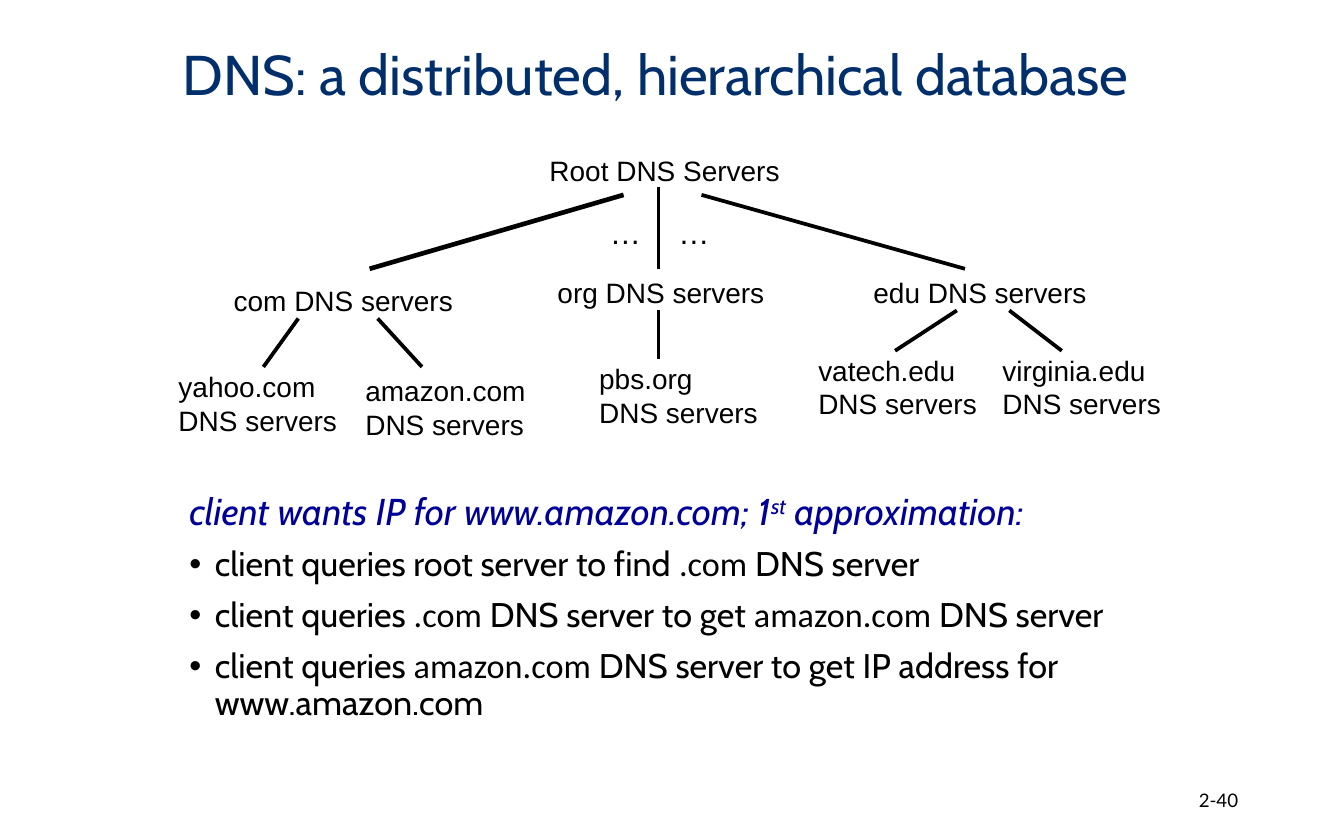
import pptx
import pptx.dml.color
import pptx.enum.text
import pptx.oxml.ns
import pptx.util
import lxml.etree

Inches = pptx.util.Inches
Pt = pptx.util.Pt
qn = pptx.oxml.ns.qn
ANCHOR = pptx.enum.text.MSO_ANCHOR
ALIGN = pptx.enum.text.PP_ALIGN
FIT = pptx.enum.text.MSO_AUTO_SIZE

COLORS = {"ink": "000000", "title": "002F6C", "lead": "000099"}


class Deck:
    """Holds the style and the current slide; each method adds one kind of element."""

    def __init__(self, show):
        self.slide = show.slides.add_slide(show.slide_layouts[6])

    def color(self, name):
        return pptx.dml.color.RGBColor.from_string(COLORS[name])

    def style(self, par, face, size, color="ink"):
        par.font.name = face
        par.font.size = Pt(size)
        par.font.color.rgb = self.color(color)

    def frame(self, left, top, width, height, anchor=ANCHOR.TOP):
        box = self.slide.shapes.add_textbox(
            Inches(left), Inches(top), Inches(width), Inches(height))
        box.text_frame.word_wrap = True
        box.text_frame.vertical_anchor = anchor
        return box.text_frame

    def label(self, left, top, width, lines, size=15):
        frame = self.frame(left, top, width, 0.09 + 0.26 * len(lines))
        frame.word_wrap = False
        frame.auto_size = FIT.SHAPE_TO_FIT_TEXT
        for i, line in enumerate(lines):
            par = frame.add_paragraph() if i else frame.paragraphs[0]
            par.text = line
            self.style(par, "Arial", size)

    def line(self, start, end, width=2):
        link = self.slide.shapes.add_connector(
            pptx.enum.shapes.MSO_CONNECTOR.STRAIGHT,
            *map(Inches, start + end))
        link.line.color.rgb = self.color("ink")
        link.line.width = Pt(width)
        lxml.etree.SubElement(link._element.spPr, qn("a:effectLst"))

    def title(self, text):
        frame = self.frame(1.26, 0.15, 7.31, 0.85, ANCHOR.MIDDLE)
        par = frame.paragraphs[0]
        par.text = text
        par.line_spacing = 0.9
        self.style(par, "Cabin", 30, "title")

    def number(self, text):
        par = self.frame(7.06, 5.79, 2.25, 0.33, ANCHOR.MIDDLE).paragraphs[0]
        par.text = text
        par.alignment = ALIGN.RIGHT
        self.style(par, "Lato", 10)

    def runs(self, par, text):
        """Add runs split at bars; return those between bars."""
        made = []
        for part in text.split("|"):
            run = par.add_run()
            run.text = part
            made.append(run)
        return made[1::2]

    def body(self, lead, items):
        frame = self.frame(1.31, 3.62, 7.45, 1.94)
        par = frame.paragraphs[0]
        par.line_spacing = 0.9
        self.style(par, "Cabin", 20, "lead")
        par.font.italic = True
        for run in self.runs(par, lead):
            run.font._element.set("baseline", "30000")
        for item in items:
            par = frame.add_paragraph()
            par.line_spacing = 0.9
            par.space_before = Pt(7.5)
            props = par._p.get_or_add_pPr()
            props.set("marL", str(Inches(0.19)))
            props.set("indent", str(-Inches(0.19)))
            lxml.etree.SubElement(props, qn("a:buFont")).set("typeface", "Arial")
            lxml.etree.SubElement(props, qn("a:buChar")).set("char", "•")
            self.style(par, "Cabin", 18.3)
            for run in self.runs(par, item):
                run.font.name = "Calibri"


def main():
    show = pptx.Presentation()
    show.slide_width = Inches(10)
    show.slide_height = Inches(6.25)
    deck = Deck(show)

    deck.title("DNS: a distributed, hierarchical database")

    deck.label(3.99, 1.09, 1.93, ["Root DNS Servers"])
    for zone, left, top, width in [
            ("com", 1.64, 2.06, 1.85), ("org", 4.05, 2, 1.76), ("edu", 6.4, 2, 1.81)]:
        deck.label(left, top, width, [zone + " DNS servers"])
    for host, left, top in [
            ("yahoo.com", 1.23, 2.7), ("amazon.com", 2.62, 2.73),
            ("pbs.org", 4.36, 2.64),
            ("vatech.edu", 5.99, 2.58), ("virginia.edu", 7.36, 2.58)]:
        deck.label(left, top, 1.4, [host, "DNS servers"])
    for left in (4.44, 4.95):
        deck.label(left, 1.54, 0.44, ["…"], 16.7)

    deck.line((4.64, 1.45), (2.75, 2), 2.5)
    for start, end in [
            ((4.9, 1.39), (4.9, 2)), ((5.22, 1.45), (7.18, 2)),
            ((2.22, 2.37), (1.96, 2.73)), ((2.81, 2.37), (3.14, 2.73)),
            ((4.9, 2.31), (4.9, 2.67)),
            ((7.12, 2.31), (6.66, 2.61)), ((7.51, 2.31), (7.9, 2.61))]:
        deck.line(start, end)

    deck.body("client wants IP for www.amazon.com; 1|st| approximation:", [
        "client queries root server to find |.com |DNS server",
        "client queries |.com |DNS server to get |amazon.com |DNS server",
        "client queries |amazon.com |DNS server to get IP address for www.amazon.com"])
    deck.number("2-40")
    show.save("out.pptx")


if __name__ == "__main__":
    main()
